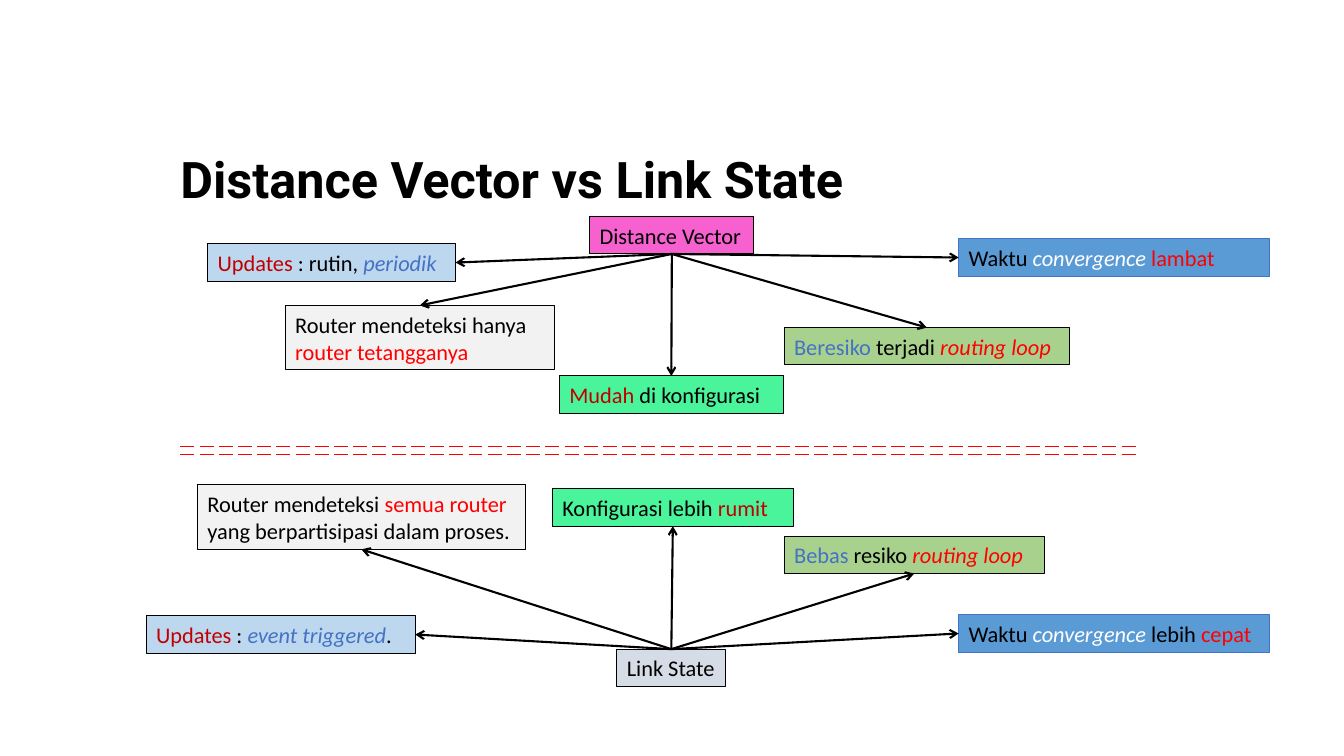
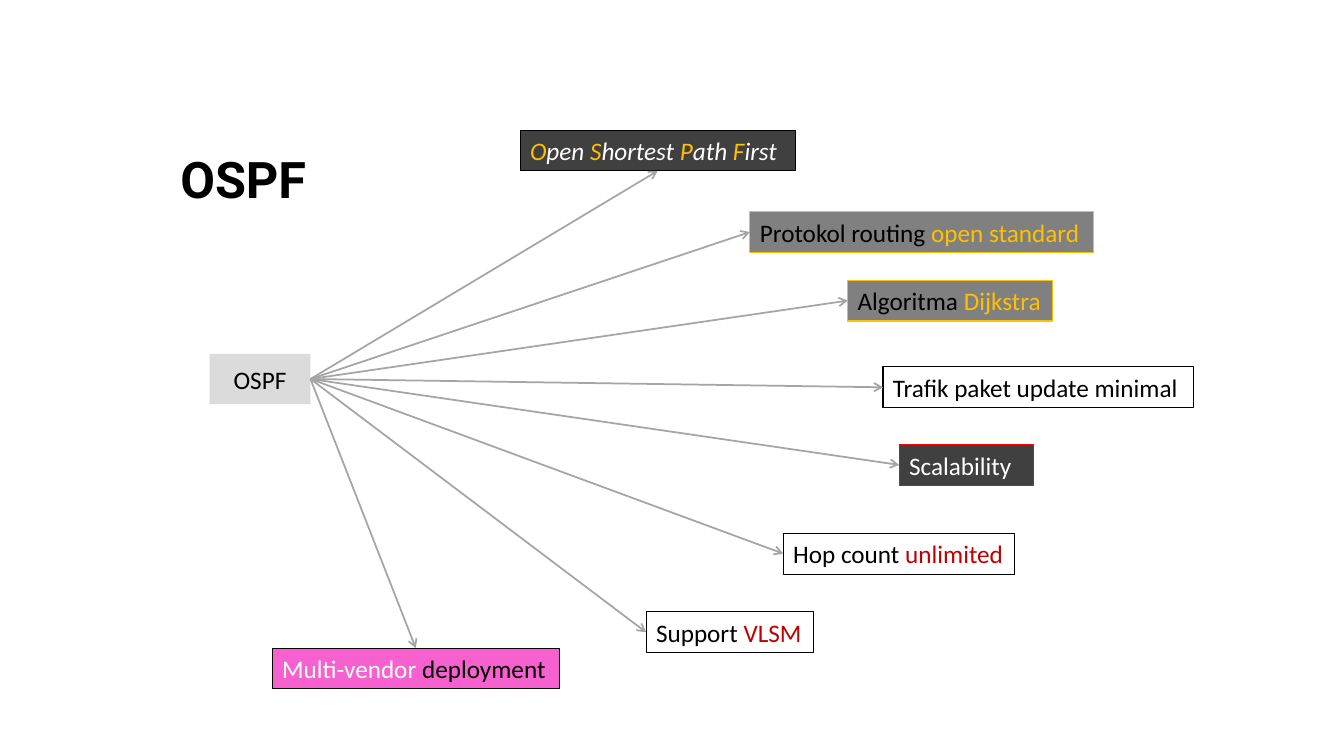
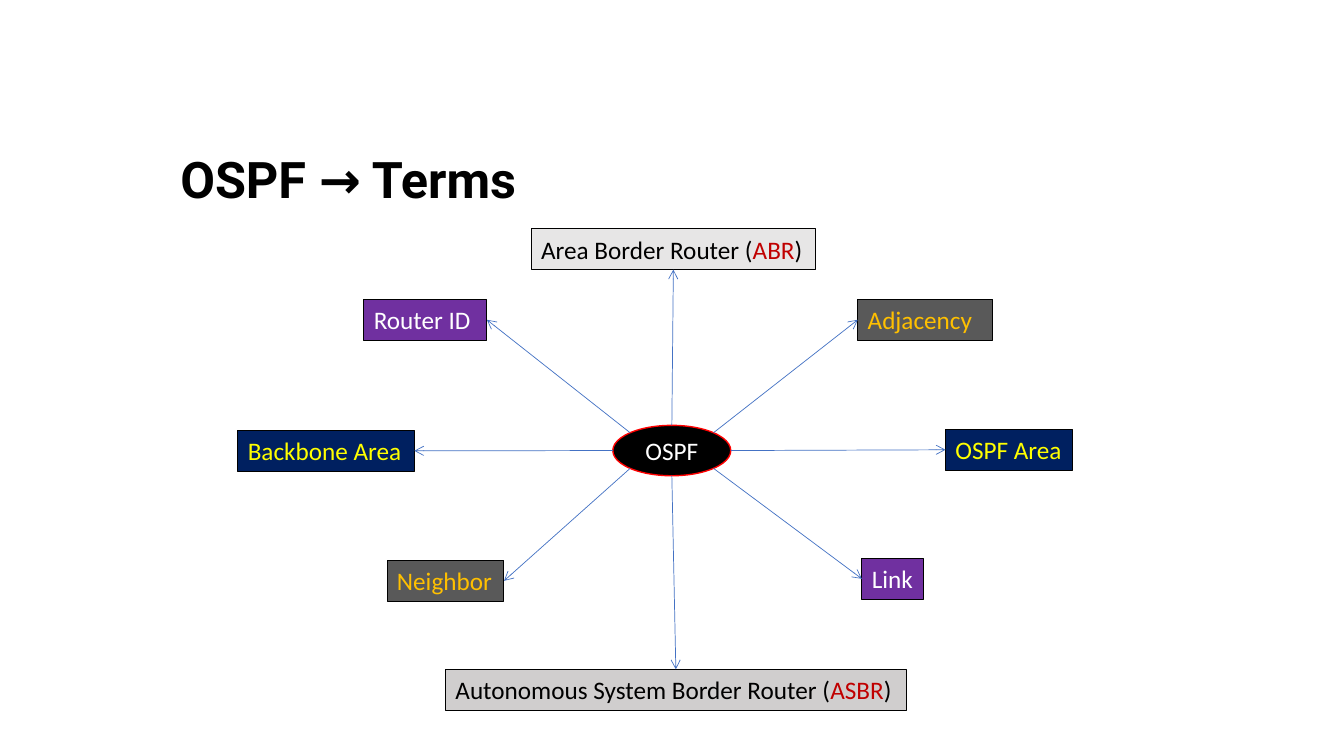
from math import cos, radians, sin

from lxml import etree
from pptx import Presentation
from pptx.dml.color import RGBColor
from pptx.enum.dml import MSO_LINE
from pptx.enum.shapes import MSO_CONNECTOR, MSO_SHAPE
from pptx.enum.text import MSO_ANCHOR, PP_ALIGN
from pptx.oxml.ns import qn
from pptx.util import Inches, Pt

RECT, OVAL = MSO_SHAPE.RECTANGLE, MSO_SHAPE.OVAL
STRAIGHT = MSO_CONNECTOR.STRAIGHT
LONG_DASH = MSO_LINE.LONG_DASH
MIDDLE = MSO_ANCHOR.MIDDLE
LEFT, CENTER = PP_ALIGN.LEFT, PP_ALIGN.CENTER
TOP_SIDE, LEFT_SIDE, BOTTOM_SIDE, RIGHT_SIDE = range(4)

BLACK = RGBColor(0x00, 0x00, 0x00)
WHITE = RGBColor(0xFF, 0xFF, 0xFF)
RED = RGBColor(0xFF, 0x00, 0x00)
DARK_RED = RGBColor(0xC0, 0x00, 0x00)
BLUE = RGBColor(0x44, 0x72, 0xC4)
SKY = RGBColor(0x5B, 0x9B, 0xD5)
PALE_BLUE = RGBColor(0xBD, 0xD7, 0xEE)
BLUE_GREY = RGBColor(0xD6, 0xDC, 0xE5)
NAVY = RGBColor(0x00, 0x20, 0x60)
PURPLE = RGBColor(0x70, 0x30, 0xA0)
PINK = RGBColor(0xF6, 0x60, 0xCF)
MINT = RGBColor(0x4A, 0xF4, 0x9B)
GREEN = RGBColor(0xA9, 0xD1, 0x8E)
GOLD = RGBColor(0xFF, 0xC0, 0x00)
YELLOW = RGBColor(0xFF, 0xFF, 0x00)
CHARCOAL = RGBColor(0x40, 0x40, 0x40)
DARK_GREY = RGBColor(0x59, 0x59, 0x59)
GREY = RGBColor(0x80, 0x80, 0x80)
ARROW_GREY = RGBColor(0xA5, 0xA5, 0xA5)
SILVER = RGBColor(0xDB, 0xDB, 0xDB)
WARM_GREY = RGBColor(0xD0, 0xCE, 0xCE)
LIGHT_GREY = RGBColor(0xE7, 0xE6, 0xE6)
OFF_WHITE = RGBColor(0xF2, 0xF2, 0xF2)

BODY_FONT, TITLE_FONT = "Calibri", "Roboto"
COL = ROW = Inches(0.1)
SMALL_LINE, SMALL_PAIR, LARGE_LINE = 3.7, 6.4, 4.05

prs = Presentation()
prs.slide_width = int(133.33 * COL)
prs.slide_height = 75 * ROW


def add_box(slide, place, fill, outline, runs, size, geometry=RECT, align=LEFT, weight=0.75):
    left, top, width, height = place
    box = slide.shapes.add_shape(
        geometry, int(left * COL), int(top * ROW), int(width * COL), int(height * ROW))
    box.shadow.inherit = False
    if fill is None:
        box.fill.background()
    else:
        box.fill.solid()
        box.fill.fore_color.rgb = fill
    if outline is None:
        box.line.fill.background()
    else:
        box.line.color.rgb = outline
        box.line.width = Pt(weight)
    frame = box.text_frame
    frame.word_wrap = True
    frame.vertical_anchor = MIDDLE
    if align == LEFT:
        frame.margin_right = 0
    paragraph = frame.paragraphs[0]
    paragraph.alignment = align
    for text, color, *italic in runs:
        run = paragraph.add_run()
        run.text = text
        run.font.name = BODY_FONT
        run.font.size = Pt(size)
        run.font.color.rgb = color
        run.font.italic = bool(italic)
    return box


def add_line(slide, start, end, color, weight):
    line = slide.shapes.add_connector(
        STRAIGHT, *(int(length) for length in (*start, *end)))
    line.line.color.rgb = color
    line.line.width = Pt(weight)
    etree.SubElement(line._element.spPr, qn("a:effectLst"))
    return line


slides = []
for heading in ("Distance Vector vs Link State", "OSPF", "OSPF → Terms"):
    slide = prs.slides.add_slide(prs.slide_layouts[6])
    title = slide.shapes.add_textbox(
        int(16.9 * COL), int(13.6 * ROW), int(106.6 * COL), int(8.9 * ROW))
    title.text_frame.word_wrap = True
    title.text_frame.vertical_anchor = MIDDLE
    title.text_frame.text = heading
    paragraph = title.text_frame.paragraphs[0]
    paragraph.line_spacing = 0.9
    font = paragraph.runs[0].font
    font.name, font.size, font.bold = TITLE_FONT, Pt(36), True
    font.color.rgb = BLACK
    slides.append(slide)

comparison, features, terms = slides

distance_vector = add_box(
    comparison, (58.5, 21.5, 16.3, SMALL_LINE), PINK, BLACK, [("Distance Vector", BLACK)], 16)
distance_vector_traits = [
    ((20.6, 24.2, 24.6, SMALL_LINE), PALE_BLUE, BLACK, RIGHT_SIDE,
     [("Updates", DARK_RED), (" : rutin, ", BLACK), ("periodik", BLUE, True)]),
    ((28.3, 30.3, 26.7, SMALL_PAIR), OFF_WHITE, BLACK, TOP_SIDE,
     [("Router mendeteksi hanya ", BLACK), ("router tetangganya", RED)]),
    ((55.5, 37.3, 22.2, SMALL_LINE), MINT, BLACK, TOP_SIDE,
     [("Mudah ", DARK_RED), ("di konfigurasi", BLACK)]),
    ((77.8, 32.5, 28.3, SMALL_LINE), GREEN, BLACK, TOP_SIDE,
     [("Beresiko ", BLUE), ("terjadi ", BLACK), ("routing loop", RED, True)]),
    ((95.1, 23.7, 30.8, SMALL_LINE), SKY, BLUE, LEFT_SIDE,
     [("Waktu ", BLACK), ("convergence ", WHITE, True), ("lambat", RED)]),
]

link_state = add_box(
    comparison, (61.2, 64.4, 10.8, SMALL_LINE), BLUE_GREY, BLACK, [("Link State", BLACK)], 16)
link_state_traits = [
    ((14.5, 61.1, 26.7, SMALL_LINE), PALE_BLUE, BLACK, RIGHT_SIDE,
     [("Updates", DARK_RED), (" : ", BLACK), ("event triggered", BLUE, True), (".", BLACK)]),
    ((19.6, 48.1, 32.5, SMALL_PAIR), OFF_WHITE, BLACK, BOTTOM_SIDE,
     [("Router mendeteksi ", BLACK), ("semua router ", RED),
      ("yang berpartisipasi dalam proses.", BLACK)]),
    ((54.8, 48.5, 23.9, SMALL_LINE), MINT, BLACK, BOTTOM_SIDE,
     [("Konfigurasi lebih ", BLACK), ("rumit", DARK_RED)]),
    ((77.8, 53.2, 25.8, SMALL_LINE), GREEN, BLACK, BOTTOM_SIDE,
     [("Bebas ", BLUE), ("resiko ", BLACK), ("routing loop", RED, True)]),
    ((95.1, 61, 30.8, SMALL_LINE), SKY, BLUE, LEFT_SIDE,
     [("Waktu ", BLACK), ("convergence ", WHITE, True), ("lebih ", BLACK), ("cepat", RED)]),
]

for divider_row in (44.3, 45.1):
    divider = add_line(comparison, (17.9 * COL, divider_row * ROW),
                       (112.9 * COL, divider_row * ROW), RED, 1.25)
    divider.line.dash_style = LONG_DASH

ospf = add_box(features, (20.8, 35.1, 10, 5), SILVER, None, [("OSPF", BLACK)], 18, align=CENTER)
ospf_features = [
    ((51.6, 12.9, 27.3, LARGE_LINE), CHARCOAL, BLACK, BOTTOM_SIDE,
     [(text, color, True)
      for initial, rest in (("O", "pen "), ("S", "hortest "), ("P", "ath "), ("F", "irst"))
      for text, color in ((initial, GOLD), (rest, WHITE))]),
    ((74.4, 21, 34.1, LARGE_LINE), GREY, GOLD, LEFT_SIDE,
     [("Protokol routing ", BLACK), ("open standard", GOLD)]),
    ((84.1, 27.8, 20.3, LARGE_LINE), GREY, GOLD, LEFT_SIDE,
     [("Algoritma ", BLACK), ("Dijkstra", GOLD)]),
    ((87.6, 36.4, 30.8, LARGE_LINE), None, BLACK, LEFT_SIDE,
     [("Trafik paket update minimal", BLACK)]),
    ((89.2, 44.1, 13.3, LARGE_LINE), CHARCOAL, RED, LEFT_SIDE, [("Scalability", WHITE)]),
    ((77.7, 52.9, 22.9, LARGE_LINE), None, BLACK, LEFT_SIDE,
     [("Hop count ", BLACK), ("unlimited", DARK_RED)]),
    ((64.1, 60.7, 16.6, LARGE_LINE), None, BLACK, LEFT_SIDE,
     [("Support ", BLACK), ("VLSM", DARK_RED)]),
    ((27, 64.3, 28.5, LARGE_LINE), PINK, BLACK, TOP_SIDE,
     [("Multi-vendor", WHITE), (" deployment", BLACK)]),
]

core = add_box(terms, (60.8, 42.2, 11.7, 5), BLACK, RED, [("OSPF", WHITE)], 18,
               geometry=OVAL, align=CENTER, weight=1)
terms_clockwise = [
    ((52.7, 22.7, 28.2, LARGE_LINE), LIGHT_GREY, BLACK, BOTTOM_SIDE,
     [("Area Border Router (", BLACK), ("ABR", DARK_RED), (")", BLACK)]),
    ((85.1, 29.7, 13.4, LARGE_LINE), DARK_GREY, BLACK, LEFT_SIDE, [("Adjacency", GOLD)]),
    ((93.8, 42.6, 12.6, LARGE_LINE), NAVY, BLACK, LEFT_SIDE, [("OSPF Area", YELLOW)]),
    ((85.5, 55.4, 6.1, LARGE_LINE), PURPLE, BLACK, LEFT_SIDE, [("Link", WHITE)]),
    ((44.2, 66.4, 45.7, LARGE_LINE), WARM_GREY, BLACK, TOP_SIDE,
     [("Autonomous System Border Router (", BLACK), ("ASBR", DARK_RED), (")", BLACK)]),
    ((38.4, 55.6, 11.6, LARGE_LINE), DARK_GREY, BLACK, RIGHT_SIDE, [("Neighbor", GOLD)]),
    ((23.6, 42.7, 17.5, LARGE_LINE), NAVY, BLACK, RIGHT_SIDE, [("Backbone Area", YELLOW)]),
    ((36.1, 29.7, 12.2, LARGE_LINE), PURPLE, BLACK, RIGHT_SIDE, [("Router ID", WHITE)]),
]

diagrams = [
    (comparison, distance_vector, BOTTOM_SIDE, distance_vector_traits, 16, BLACK, 1.5),
    (comparison, link_state, TOP_SIDE, link_state_traits, 16, BLACK, 1.5),
    (features, ospf, RIGHT_SIDE, ospf_features, 18, ARROW_GREY, 1.25),
    (terms, core, None, terms_clockwise, 18, BLUE, 0.5),
]
for slide, hub, hub_side, branches, size, arrow_color, arrow_weight in diagrams:
    for index, (place, fill, outline, side, runs) in enumerate(branches):
        branch = add_box(slide, place, fill, outline, runs, size)
        angle = radians(index * 360 / len(branches))
        rim = (hub.left + hub.width / 2 * (1 + sin(angle)),
               hub.top + hub.height / 2 * (1 - cos(angle)))
        arrow = add_line(slide, rim, (branch.left, branch.top), arrow_color, arrow_weight)
        if hub_side is not None:
            arrow.begin_connect(hub, hub_side)
        arrow.end_connect(branch, side)
        etree.SubElement(arrow.line._get_or_add_ln(), qn("a:tailEnd"), type="arrow")

prs.save("out.pptx")
